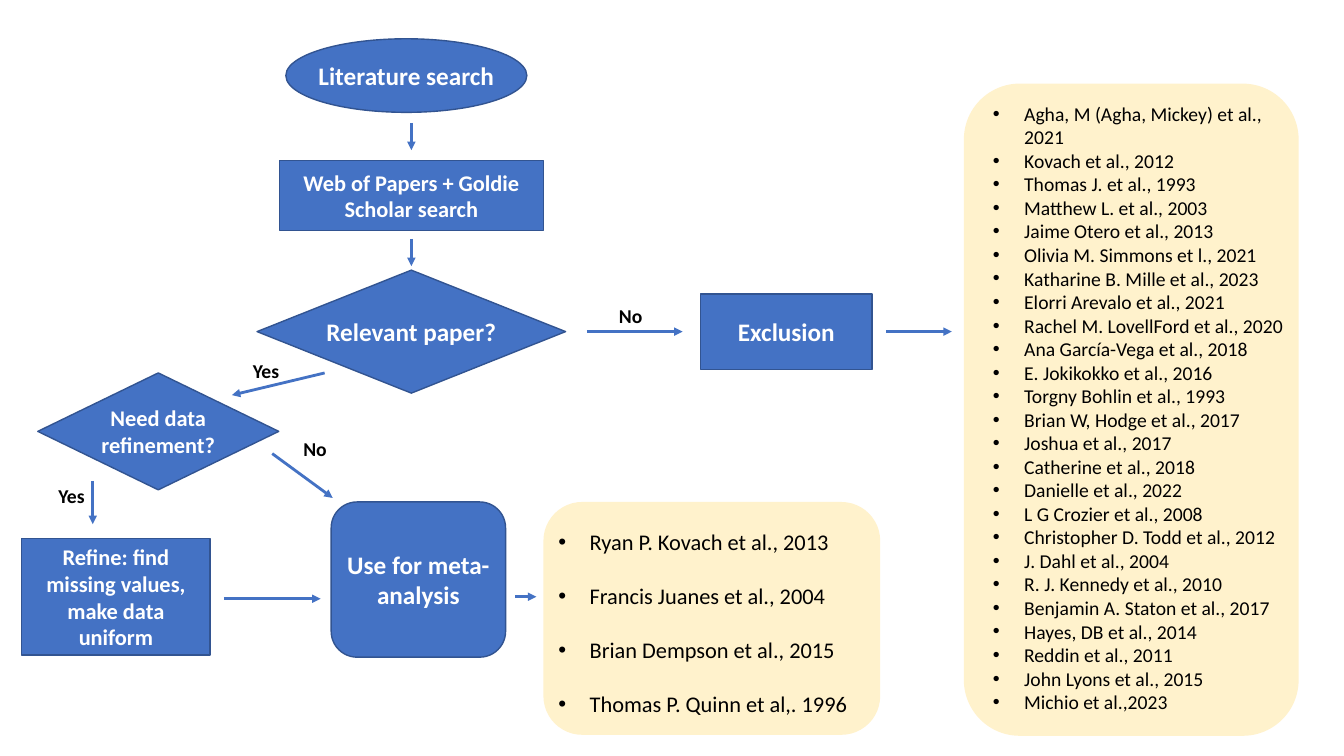
from dataclasses import dataclass

from lxml.etree import SubElement
from pptx import Presentation
from pptx.dml.color import RGBColor
from pptx.enum.shapes import MSO_CONNECTOR, MSO_SHAPE as Preset
from pptx.enum.text import MSO_ANCHOR as Anchor, PP_ALIGN as Align
from pptx.oxml.ns import qn
from pptx.util import Inches, Pt


@dataclass(frozen=True)
class Theme:
    font: str = "Calibri"
    step: str = "4472C4"
    outline: str = "325491"
    card: str = "FFF2CC"
    light: str = "FFFFFF"
    dark: str = "000000"
    large: int = 18
    medium: int = 16
    small: int = 14
    arrow_width: float = 2
    outline_width: float = 1


THEME = Theme()
WIDTH, HEIGHT = 13.33, 7.5
COLUMNS, ROWS = 133.3, 75
MAIN_COLUMN, SCREEN_ROW = 40.8, 32.9
HANGING = Inches(0.31)

# text, preset, centre, size, type size, side inset, wrap
STEPS = [
    ("Literature search", Preset.OVAL, (40.3, 7.5), (23.9, 7.3), THEME.large, 0, False),
    ("Web of Papers + Goldie Scholar search", Preset.FLOWCHART_PROCESS,
     (MAIN_COLUMN, 19.4), (26.2, 6.9), THEME.medium, 1, True),
    ("Relevant paper?", Preset.FLOWCHART_DECISION,
     (MAIN_COLUMN, SCREEN_ROW), (30.6, 12.2), THEME.large, 0, False),
    ("Exclusion", Preset.FLOWCHART_PROCESS, (78, SCREEN_ROW), (17, 7.5), THEME.large, 1, True),
    ("Need data refinement?", Preset.FLOWCHART_DECISION,
     (15.7, 42.8), (23.9, 11.6), THEME.medium, 0, True),
    ("Refine: find missing values, make data uniform", Preset.FLOWCHART_PROCESS,
     (11.5, 59.2), (18.7, 11.6), THEME.medium, 1, True),
    ("Use for meta-analysis", Preset.ROUNDED_RECTANGLE,
     (41.5, 57.5), (17.3, 15.4), THEME.large, 0, True),
]

ARROWS = [
    ((MAIN_COLUMN, 12.2), (MAIN_COLUMN, 14.9)),
    ((MAIN_COLUMN, 23.7), (MAIN_COLUMN, 26.4)),
    ((58.2, SCREEN_ROW), (67.7, SCREEN_ROW)),
    ((87.9, SCREEN_ROW), (94.4, SCREEN_ROW)),
    ((32.2, 37), (23, 39.2)),
    ((27, 45), (33, 49.4)),
    ((9.2, 47.7), (9.2, 52)),
    ((22.2, 59.4), (31.8, 59.4)),
    ((51.1, 59.2), (53.2, 59.2)),
]

LABELS = [("No", 60.4, 29.7), ("Yes", 24.1, 35.1), ("No", 29.1, 42.9), ("Yes", 4.8, 47.5)]

INCLUDED = [
    "Ryan P. Kovach et al., 2013", "Francis Juanes et al., 2004",
    "Brian Dempson et al., 2015", "Thomas P. Quinn et al,. 1996",
]
EXCLUDED = [
    "Agha, M (Agha, Mickey) et al., 2021", "Kovach et al., 2012", "Thomas J. et al., 1993",
    "Matthew L. et al., 2003", "Jaime Otero et al., 2013", "Olivia M. Simmons et l., 2021",
    "Katharine B. Mille et al., 2023", "Elorri Arevalo et al., 2021",
    "Rachel M. LovellFord et al., 2020", "Ana García-Vega et al., 2018",
    "E. Jokikokko et al., 2016", "Torgny Bohlin et al., 1993", "Brian W, Hodge et al., 2017",
    "Joshua et al., 2017", "Catherine et al., 2018", "Danielle et al., 2022",
    "L G Crozier et al., 2008", "Christopher D. Todd et al., 2012", "J. Dahl et al., 2004",
    "R. J. Kennedy et al., 2010", "Benjamin A. Staton et al., 2017", "Hayes, DB et al., 2014",
    "Reddin et al., 2011", "John Lyons et al., 2015", "Michio et al.,2023",
]

# papers, card, text offset, type size, gap after
PAPER_CARDS = [
    (INCLUDED, (53.9, 49.8, 33.4, 23.1), (0.5, 2.1), THEME.medium, 19.5),
    (EXCLUDED, (95.6, 8.3, 33.2, 64.7), (1.9, 1.3), THEME.small, 0),
]


def across(columns):
    return Inches(WIDTH * columns / COLUMNS)


def down(rows):
    return Inches(HEIGHT * rows / ROWS)


def place(left, top, width, height):
    return across(left), down(top), across(width), down(height)


def apply(target, **values):
    for name, value in values.items():
        setattr(target, name, value)


def write(para, text, size, color, bold):
    span = para.add_run()
    span.text = text
    apply(span.font, name=THEME.font, size=Pt(size), bold=bold)
    span.font.color.rgb = RGBColor.from_string(color)


def add_panel(page, preset, area, fill, outline=None):
    panel = page.shapes.add_shape(preset, *place(*area))
    panel.shadow.inherit = False
    panel.fill.solid()
    panel.fill.fore_color.rgb = RGBColor.from_string(fill)
    if outline:
        panel.line.color.rgb = RGBColor.from_string(outline)
        panel.line.width = Pt(THEME.outline_width)
    else:
        panel.line.fill.background()
    return panel


def add_step(page, text, preset, centre, size, type_size, inset, wrap):
    (x, y), (width, height) = centre, size
    area = (x - width / 2, y - height / 2, width, height)
    frame = add_panel(page, preset, area, THEME.step, THEME.outline).text_frame
    apply(frame, word_wrap=wrap, vertical_anchor=Anchor.MIDDLE, margin_left=across(inset),
          margin_right=across(inset), margin_top=0, margin_bottom=0)
    para = frame.paragraphs[0]
    para.alignment = Align.CENTER
    write(para, text, type_size, THEME.light, True)


def add_arrow(page, start, end):
    arrow = page.shapes.add_connector(
        MSO_CONNECTOR.STRAIGHT, across(start[0]), down(start[1]), across(end[0]), down(end[1]))
    arrow.line.color.rgb = RGBColor.from_string(THEME.step)
    arrow.line.width = Pt(THEME.arrow_width)
    SubElement(arrow.line._get_or_add_ln(), qn("a:tailEnd"), type="triangle")
    SubElement(arrow._element.spPr, qn("a:effectLst"))


def add_label(page, text, left, top):
    box = page.shapes.add_textbox(*place(left, top, 6, 3.4))
    box.text_frame.word_wrap = True
    write(box.text_frame.paragraphs[0], text, THEME.small, THEME.dark, True)


def add_paper_card(page, papers, area, offset, type_size, gap):
    add_panel(page, Preset.ROUNDED_RECTANGLE, area, THEME.card)
    left, top, width, height = area
    right_shift, drop = offset
    box = page.shapes.add_textbox(
        *place(left + right_shift, top + drop, width - right_shift, height - drop))
    frame = box.text_frame
    frame.word_wrap = True
    for index, paper in enumerate(papers):
        para = frame.add_paragraph() if index else frame.paragraphs[0]
        para.space_after = Pt(gap)
        props = para._p.get_or_add_pPr()
        props.set("marL", str(HANGING))
        props.set("indent", str(-HANGING))
        SubElement(props, qn("a:buFont"), typeface="Arial")
        SubElement(props, qn("a:buChar"), char="•")
        write(para, paper, type_size, THEME.dark, False)


def main():
    deck = Presentation()
    apply(deck, slide_width=Inches(WIDTH), slide_height=Inches(HEIGHT))
    page = deck.slides.add_slide(deck.slide_layouts.get_by_name("Blank"))
    for add, items in ((add_step, STEPS), (add_arrow, ARROWS),
                       (add_label, LABELS), (add_paper_card, PAPER_CARDS)):
        for item in items:
            add(page, *item)
    deck.save("out.pptx")


if __name__ == "__main__":
    main()
